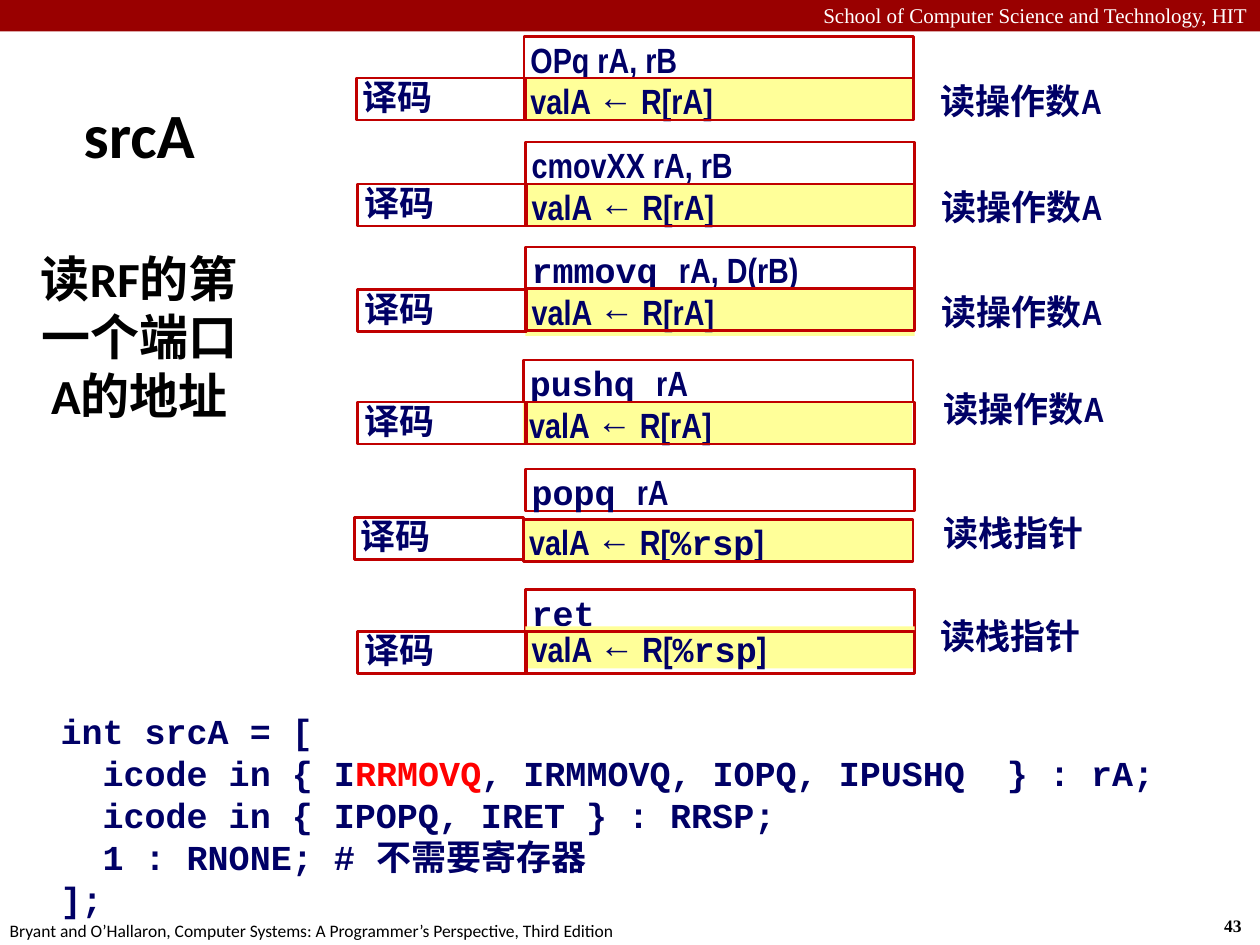
from dataclasses import dataclass

from pptx import Presentation
from pptx import util as u
from pptx.dml.color import RGBColor
from pptx.enum import shapes, text

COLORS = {
    "bar": "990000",
    "border": "C00000",
    "highlight": "FFFF99",
    "navy": "000066",
    "red": "FF0000",
    "black": "000000",
    "white": "FFFFFF",
}
NARROW, MONO, SERIF, SANS = "Arial Narrow", "Courier New", "Times New Roman", "Calibri"
CELL_W, DECODE_W, NOTE_W, CELL_H = 222.5, 96.5, 103, 24
LEFT, CENTER, RIGHT = text.PP_ALIGN.LEFT, text.PP_ALIGN.CENTER, text.PP_ALIGN.RIGHT
TOP, MIDDLE = text.MSO_ANCHOR.TOP, text.MSO_ANCHOR.MIDDLE


@dataclass(frozen=True)
class Span:
    text: str
    font: str | None = None
    color: str | None = None


@dataclass(frozen=True)
class Style:
    font: str = NARROW
    size: float = 20
    color: str = "navy"
    bold: bool = True
    align: text.PP_ALIGN = LEFT
    spacing: float | None = None


@dataclass(frozen=True)
class Box:
    x: float
    y: float
    w: float = CELL_W
    h: float = CELL_H


@dataclass(frozen=True)
class Stage:
    instruction: list[Span]
    read: list[Span]
    note: str
    head_box: Box
    read_box: Box
    frame_box: Box
    decode_box: Box
    note_box: Box


def rgb(name: str) -> RGBColor:
    return RGBColor.from_string(COLORS[name])


def write_paragraph(p, spans: list[Span], style: Style) -> None:
    p.alignment = style.align
    if style.spacing:
        p.line_spacing = style.spacing
    p.font.name = style.font
    p.font.size = u.Pt(style.size)
    p.font.bold = style.bold
    p.font.color.rgb = rgb(style.color)
    for span in spans:
        r = p.add_run()
        r.text = span.text
        if span.font:
            r.font.name = span.font
        if span.color:
            r.font.color.rgb = rgb(span.color)


def write_frame(tf, lines: list[list[Span]], style: Style, anchor=TOP,
                inset: float | None = 3.6, wrap: bool = True) -> None:
    tf.word_wrap = wrap
    tf.vertical_anchor = anchor
    if inset is not None:
        tf.margin_left = tf.margin_right = tf.margin_top = tf.margin_bottom = u.Pt(inset)
    for i, spans in enumerate(lines):
        p = tf.add_paragraph() if i else tf.paragraphs[0]
        write_paragraph(p, spans, style)


def place(box: Box) -> tuple:
    return u.Pt(box.x), u.Pt(box.y), u.Pt(box.w), u.Pt(box.h)


def add_rect(s, box: Box, fill: str | None = None, line: str | None = None):
    sp = s.shapes.add_shape(shapes.MSO_SHAPE.RECTANGLE, *place(box))
    sp.shadow.inherit = False
    if fill:
        sp.fill.solid()
        sp.fill.fore_color.rgb = rgb(fill)
    else:
        sp.fill.background()
    if line:
        sp.line.color.rgb = rgb(line)
        sp.line.width = u.Pt(1.5)
    else:
        sp.line.fill.background()
    return sp


def add_text(s, box: Box, lines: list[list[Span]], style: Style,
             inset: float | None = 3.6, wrap: bool = True) -> None:
    tf = s.shapes.add_textbox(*place(box)).text_frame
    write_frame(tf, lines, style, inset=inset, wrap=wrap)


def add_stage(s, stage: Stage) -> None:
    style = Style(spacing=0.9)
    head = add_rect(s, stage.head_box, line="border")
    write_frame(head.text_frame, [stage.instruction], style)
    read = add_rect(s, stage.read_box, fill="highlight")
    write_frame(read.text_frame, [stage.read], style)
    add_rect(s, stage.frame_box, line="border")
    decode = add_rect(s, stage.decode_box, line="border")
    write_frame(decode.text_frame, [[Span("译码")]], style, anchor=MIDDLE)
    add_text(s, stage.note_box, [[Span(stage.note)]], style)


def decode_at(x: float, y: float) -> Box:
    return Box(x, y, DECODE_W)


def note_at(x: float, y: float) -> Box:
    return Box(x, y, NOTE_W)


READ_RA = [Span("valA ← R[rA]")]
READ_RSP = [Span("valA ← R["), Span("%rsp", MONO), Span("]")]
OPERAND, STACK = "读操作数A", "读栈指针"

STAGES = [
    Stage([Span("OPq rA, rB")], READ_RA, OPERAND, Box(299.5, 20.9), Box(299.5, 44.6),
          Box(299.5, 44.6), decode_at(203.8, 44.6), note_at(534, 44.6)),
    Stage([Span("cmovXX rA, rB")], READ_RA, OPERAND, Box(300.2, 81.2), Box(300.2, 105.1),
          Box(300.2, 105.1), decode_at(204.5, 105.1), note_at(534.4, 105.1)),
    Stage([Span("rmmovq ", MONO), Span("rA, D(rB)")], READ_RA, OPERAND,
          Box(300.2, 141.1), Box(300.2, 165.4, h=26.6),
          Box(300.2, 164.9), decode_at(204.5, 165.6), note_at(534.4, 165.4)),
    Stage([Span("pushq ", MONO), Span("rA")], READ_RA, OPERAND,
          Box(299.2, 205.7), Box(298.8, 229.7),
          Box(300.2, 229.7), decode_at(204.5, 229.7), note_at(535.5, 220.5)),
    Stage([Span("popq ", MONO), Span("rA")], READ_RSP, STACK,
          Box(300.2, 268), Box(298.8, 296.8),
          Box(299.2, 296.8), decode_at(202.6, 295.6), note_at(535.5, 291.6)),
    Stage([Span("ret", MONO)], READ_RSP, STACK, Box(300.2, 337), Box(300.2, 358),
          Box(300.2, 360.9), decode_at(204.5, 360.9), note_at(534, 350.6)),
]

CODE = [
    [Span("int srcA = [")],
    [Span("  icode in { I"), Span("RRMOVQ", color="red"),
     Span(", IRMMOVQ, IOPQ, IPUSHQ  } : rA;")],
    [Span("  icode in { IPOPQ, IRET } : RRSP;")],
    [Span("  1 : RNONE; # 不需要寄存器")],
    [Span("];")],
]


def add_title(s) -> None:
    title = s.shapes.title
    title.left, title.top, title.width, title.height = place(Box(8.6, 26.6, 142, 244))
    tf = title.text_frame
    tf.auto_size = text.MSO_AUTO_SIZE.NONE
    write_frame(tf, [[Span("srcA")]], Style(SANS, 36, "black", align=CENTER), MIDDLE, None)
    p = tf.add_paragraph()
    write_paragraph(p, [Span("读RF的第一个端口A的地址")], Style(SANS, 28, "black", align=CENTER))
    p.space_before = u.Pt(44)


def main() -> None:
    prs = Presentation()
    prs.slide_width, prs.slide_height = u.Pt(720), u.Pt(540)
    s = prs.slides.add_slide(prs.slide_layouts[5])
    add_rect(s, Box(0, 0, 720, 18), fill="bar")
    add_text(s, Box(0, -2.2, 720, 21.6),
             [[Span("School of Computer Science and Technology, HIT")]],
             Style(SERIF, 12, "white", False, RIGHT), None)
    add_text(s, Box(692.4, 519.2, 27, 19.4), [[Span("43")]],
             Style(SERIF, 10, "black"), None, False)
    add_text(s, Box(-1.5, 522, 366, 19.4),
             [[Span("Bryant and O’Hallaron, Computer Systems: "
                    "A Programmer’s Perspective, Third Edition")]],
             Style(SANS, 10, "black", False), None, False)
    add_title(s)
    add_text(s, Box(31, 401.8, 639.4, 128), CODE, Style(MONO))
    for stage in STAGES:
        add_stage(s, stage)
    prs.save("out.pptx")


if __name__ == "__main__":
    main()
